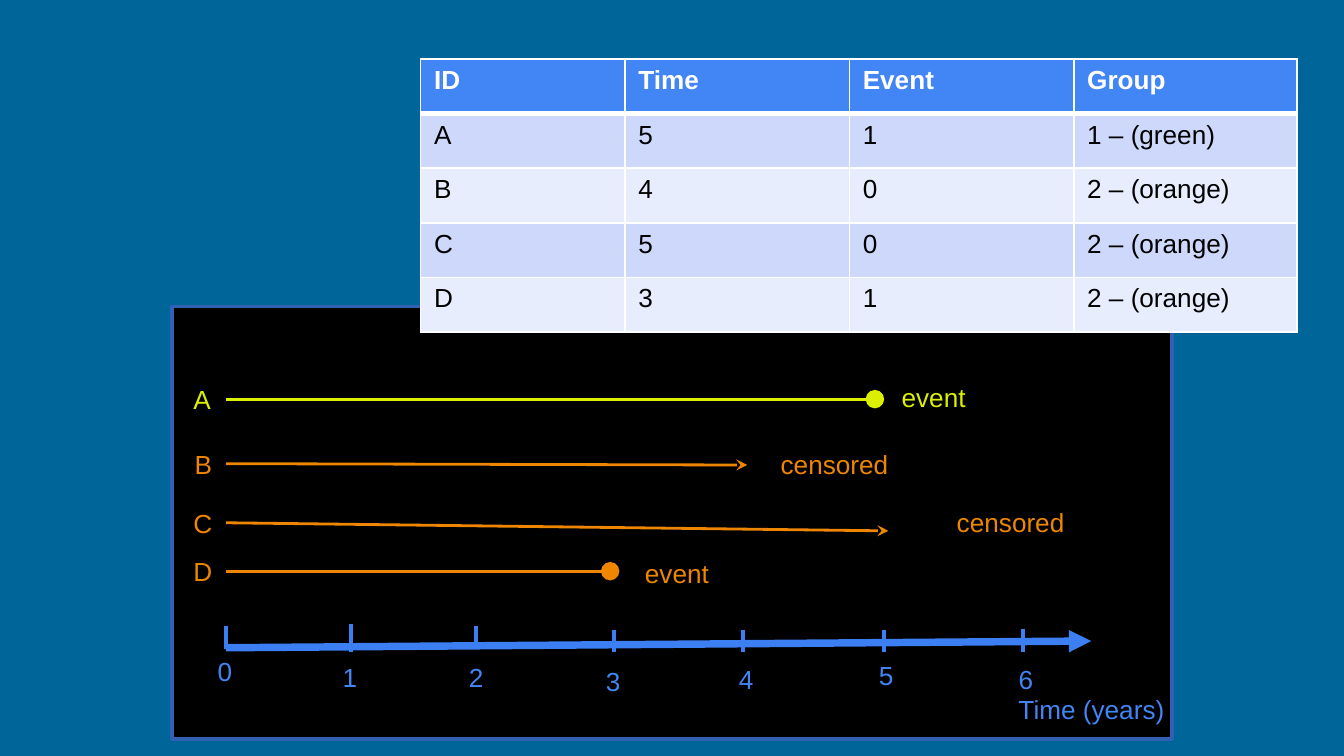
from typing import NamedTuple

import pptx
import pptx.dml.color
import pptx.enum.shapes
import pptx.enum.text
import pptx.oxml
import pptx.oxml.ns
import pptx.util
from pptx.util import Inches

BLUE, AXIS, GREEN, ORANGE, WHITE = "4285F4", "3B7FF2", "DAF000", "EF8600", "FFFFFF"
START = 1.68


class Patient(NamedTuple):
    name: str
    name_at: tuple[float, float]
    begin: float
    end: tuple[float, float]
    fate: str
    fate_at: tuple[float, float]
    color: str


class Tick(NamedTuple):
    x: float
    top: float
    base: float
    label: tuple[float, float]


PATIENTS = [
    Patient("A", (1.34, 2.8), 2.97, (6.51, 2.97), "event", (6.61, 2.79), GREEN),
    Patient("B", (1.35, 3.29), 3.45, (5.56, 3.46), "censored", (5.71, 3.29), ORANGE),
    Patient("C", (1.34, 3.73), 3.89, (6.61, 3.95), "censored", (7.02, 3.72), ORANGE),
    Patient("D", (1.34, 4.08), 4.25, (4.54, 4.25), "event", (4.7, 4.1), ORANGE),
]
TICKS = [
    Tick(START, 4.66, 4.83, (1.52, 4.83)),
    Tick(2.61, 4.64, 4.85, (2.45, 4.87)),
    Tick(3.54, 4.66, 4.83, (3.39, 4.87)),
    Tick(4.57, 4.69, 4.85, (4.41, 4.9)),
    Tick(5.53, 4.69, 4.85, (5.4, 4.89)),
    Tick(6.58, 4.69, 4.85, (6.44, 4.86)),
    Tick(7.61, 4.68, 4.85, (7.48, 4.89)),
]
MARKS = {"event": ("oval", "lg"), "censored": ("stealth", "med")}
WIDTHS = {"event": 0.68, "censored": 1.01}
ROWS = [
    ("ID", "Time", "Event", "Group"),
    ("A", "5", "1", "1 – (green)"),
    ("B", "4", "0", "2 – (orange)"),
    ("C", "5", "0", "2 – (orange)"),
    ("D", "3", "1", "2 – (orange)"),
]


def paint(target, color: str) -> None:
    """Give a fill one solid colour."""
    target.solid()
    target.fore_color.rgb = pptx.dml.color.RGBColor.from_string(color)


def style(frame, color: str, bold: bool = False) -> None:
    for run in frame.paragraphs[0].runs:
        run.font.name = "Arial"
        run.font.size = pptx.util.Pt(14)
        run.font.bold = bold
        paint(run.font.fill, color)


def label(slide, text: str, at: tuple[float, float], width: float, color: str) -> None:
    box = slide.shapes.add_textbox(Inches(at[0]), Inches(at[1]), Inches(width), Inches(0.34))
    frame = box.text_frame
    frame.word_wrap = False
    frame.auto_size = pptx.enum.text.MSO_AUTO_SIZE.SHAPE_TO_FIT_TEXT
    frame.text = text
    style(frame, color)


def line(slide, start: tuple[float, float], end: tuple[float, float], color: str,
         weight: float, mark: tuple[str, str] | None = None) -> None:
    """Draw a line; mark is the type and size of its end."""
    item = slide.shapes.add_connector(
        pptx.enum.shapes.MSO_CONNECTOR.STRAIGHT, *map(Inches, start + end))
    item.line.width = pptx.util.Pt(weight)
    paint(item.line.fill, color)
    props = item.element.spPr
    if mark:
        tail = pptx.oxml.parse_xml(
            f'<a:tailEnd {pptx.oxml.ns.nsdecls("a")} type="{mark[0]}" '
            f'w="{mark[1]}" len="{mark[1]}"/>')
        props.find(pptx.oxml.ns.qn("a:ln")).append(tail)
    props.append(pptx.oxml.parse_xml(f'<a:effectLst {pptx.oxml.ns.nsdecls("a")}/>'))


def border(cell, side: str, weight: float) -> None:
    cell._tc.get_or_add_tcPr().append(pptx.oxml.parse_xml(
        f'<a:ln{side} {pptx.oxml.ns.nsdecls("a")} w="{pptx.util.Pt(weight)}">'
        f'<a:solidFill><a:srgbClr val="{WHITE}"/></a:solidFill></a:ln{side}>'))


def panel(slide) -> None:
    box = slide.shapes.add_shape(
        pptx.enum.shapes.MSO_SHAPE.RECTANGLE,
        Inches(1.28), Inches(2.28), Inches(7.44), Inches(3.22))
    box.shadow.inherit = False
    paint(box.fill, "000000")
    paint(box.line.fill, "3061B2")
    box.line.width = pptx.util.Pt(2)


def axis(slide) -> None:
    line(slide, (START, 4.82), (8.12, 4.77), AXIS, 4, ("triangle", "med"))
    label(slide, "Time (years)", (7.48, 5.11), 1.3, BLUE)
    for year, tick in enumerate(TICKS):
        line(slide, (tick.x, tick.base), (tick.x, tick.top), AXIS, 2.25)
        label(slide, str(year), tick.label, 0.31, BLUE)


def grid(slide) -> None:
    table = slide.shapes.add_table(
        len(ROWS), len(ROWS[0]),
        Inches(3.13), Inches(0.44), Inches(6.52), Inches(2.03)).table
    for col, width in zip(table.columns, (1.52, 1.67, 1.67, 1.66)):
        col.width = Inches(width)
    for r, row in enumerate(ROWS):
        head = r == 0
        for c, text in enumerate(row):
            cell = table.cell(r, c)
            cell.text = text
            style(cell.text_frame, WHITE if head else "000000", head)
            for side in "LRTB":
                thick = (r, side) in ((0, "B"), (1, "T"))
                border(cell, side, 3 if thick else 1)
            paint(cell.fill, BLUE if head else ("E8EDFD", "CDD8FB")[r % 2])


def main() -> None:
    deck = pptx.Presentation()
    deck.slide_width = Inches(10)
    deck.slide_height = deck.slide_width * 9 // 16
    slide = deck.slides.add_slide(deck.slide_layouts[6])
    paint(slide.background.fill, "006699")
    panel(slide)
    axis(slide)
    for one in PATIENTS:
        line(slide, (START, one.begin), one.end, one.color, 1.5, MARKS[one.fate])
        label(slide, one.fate, one.fate_at, WIDTHS[one.fate], one.color)
        label(slide, one.name, one.name_at, 0.34, one.color)
    grid(slide)
    deck.save("out.pptx")


if __name__ == "__main__":
    main()
